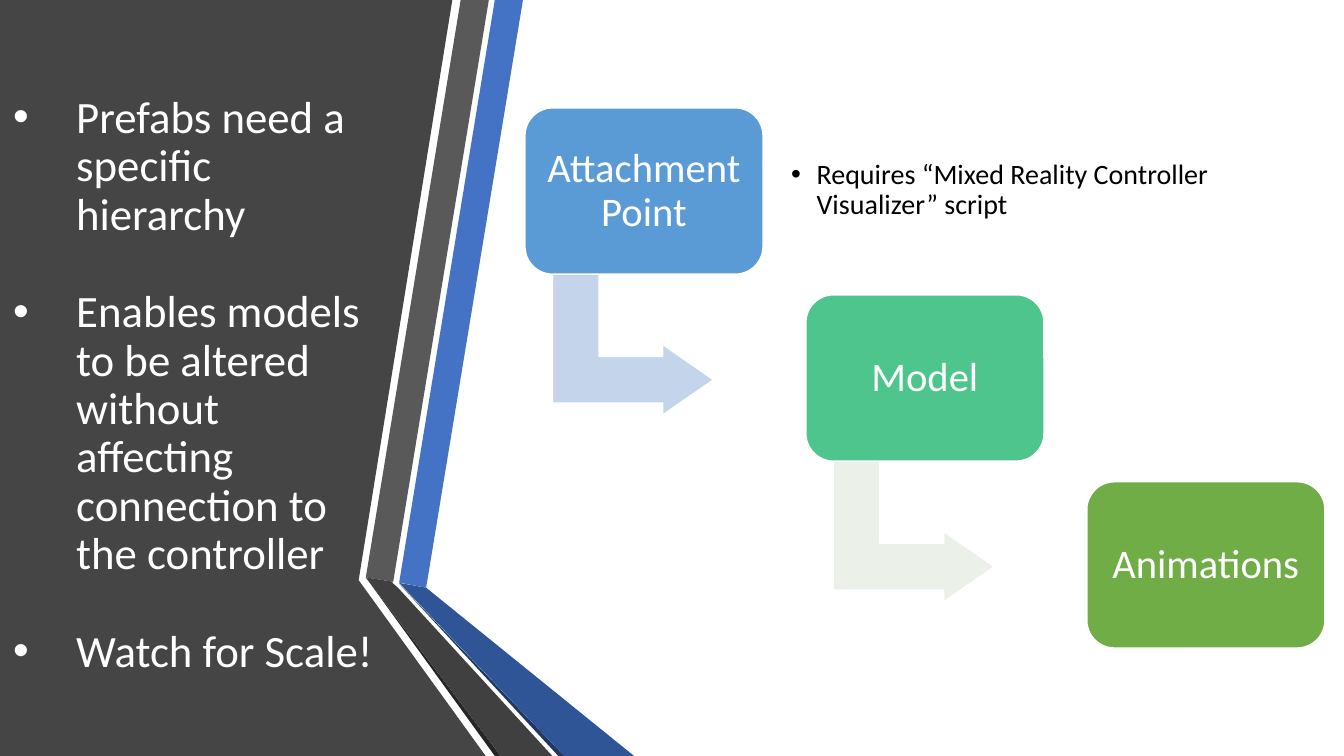
from dataclasses import dataclass

from lxml import etree
from pptx import Presentation
from pptx.dml.color import RGBColor
from pptx.enum.shapes import MSO_SHAPE
from pptx.enum.text import MSO_ANCHOR, MSO_AUTO_SIZE, PP_ALIGN
from pptx.oxml.ns import qn
from pptx.util import Cm, Pt

ROUNDED = MSO_SHAPE.ROUNDED_RECTANGLE
BENT_ARROW = MSO_SHAPE.BENT_UP_ARROW
MIDDLE = MSO_ANCHOR.MIDDLE
NO_AUTOFIT = MSO_AUTO_SIZE.NONE
LEFT, CENTER = PP_ALIGN.LEFT, PP_ALIGN.CENTER


@dataclass(frozen=True)
class Theme:
    font: str = "Calibri"
    title_size: int = 32
    step_size: int = 29
    detail_size: int = 20
    white: str = "FFFFFF"
    black: str = "000000"
    panel: str = "454545"
    ribbon_blue: str = "4472C4"
    ribbon_gray: str = "595959"
    fold_black: str = "262626"
    fold_navy: str = "203864"
    tail_blue: str = "2F5597"
    tail_gray: str = "404040"
    steps: tuple = ("5B9BD5", "4DC58D", "70AD47")
    arrows: tuple = ("C4D5EB", "EBF1E9")


theme = Theme()


def paint(shape, fill, outlined=False):
    shape.shadow.inherit = False
    shape.fill.solid()
    shape.fill.fore_color.rgb = RGBColor.from_string(fill)
    if outlined:
        shape.line.color.rgb = RGBColor.from_string(theme.white)
        shape.line.width = Pt(1)
    else:
        shape.line.fill.background()


def write(shape, lines, size, color, align, margins, hanging=None, gap=0):
    frame = shape.text_frame
    frame.text = "\n".join(lines)
    frame.word_wrap = True
    frame.auto_size = NO_AUTOFIT
    frame.vertical_anchor = MIDDLE
    frame.margin_left = frame.margin_right = Cm(margins[0])
    frame.margin_top = frame.margin_bottom = Cm(margins[1])
    for index, paragraph in enumerate(frame.paragraphs):
        paragraph.alignment = align
        paragraph.line_spacing = 0.9
        paragraph.space_before = Pt(gap if index else 0)
        if hanging:
            properties = paragraph._p.get_or_add_pPr()
            properties.set("marL", str(Cm(hanging)))
            properties.set("indent", str(-Cm(hanging)))
            etree.SubElement(properties, qn("a:buFont")).set("typeface", "Arial")
            etree.SubElement(properties, qn("a:buChar")).set("char", "•")
        for run in paragraph.runs:
            run.font.name = theme.font
            run.font.size = Pt(size)
            run.font.color.rgb = RGBColor.from_string(color)


deck = Presentation()
deck.slide_width, deck.slide_height = Cm(33.87), Cm(19.05)
slide = deck.slides.add_slide(deck.slide_layouts[5])
shapes = slide.shapes

bottom = 19.05
backdrop = [
    (theme.panel, [(0, 0), (11.4, 0), (9.04, 14.62), (12.24, bottom), (0, bottom)]),
    (theme.ribbon_blue, [(10.06, 14.68), (10.74, 14.81), (13.18, 0), (12.47, 0)]),
    (theme.ribbon_gray, [(12.32, 0), (11.61, 0), (9.22, 14.55), (9.91, 14.66)]),
    (theme.fold_black, [(9.22, 14.55), (12.47, bottom), (12.62, bottom)]),
    (theme.fold_navy, [(10.06, 14.71), (14.07, bottom), (14.22, bottom)]),
    (theme.tail_blue, [(10.06, 14.69), (14.22, bottom), (15.98, bottom), (10.74, 14.81)]),
    (theme.tail_gray, [(13.92, bottom), (10.03, 14.81), (9.88, 14.68), (9.91, 14.66),
                       (9.22, 14.55), (12.62, bottom)]),
]
for color, corners in backdrop:
    start, *rest = [(Cm(x), Cm(y)) for x, y in corners]
    outline = shapes.build_freeform(*start)
    outline.add_line_segments(rest, close=True)
    paint(outline.convert_to_shape(), color)

title = shapes.title
title.left, title.top, title.width, title.height = Cm(0.08), Cm(1.22), Cm(9.78), Cm(17)
title.element.getparent().append(title.element)
advice = [
    "Prefabs need a specific hierarchy",
    "Enables models to be altered without affecting connection to the controller",
    "Watch for Scale!",
]
write(title, advice, theme.title_size, theme.white, LEFT, (0.25, 0), hanging=1.59, gap=35)

first_left, first_top = 13.23, 2.72
step_right, step_down = 7.08, 4.71
for index, name in enumerate(["Attachment Point", "Model", "Animations"]):
    left = first_left + index * step_right
    top = first_top + index * step_down
    if index < len(theme.arrows):
        arrow = shapes.add_shape(BENT_ARROW, Cm(left + 0.94), Cm(top + 3.93), Cm(3.56), Cm(4.06))
        arrow.rotation = 90
        for position, value in enumerate((0.33, 0.25, 0.36)):
            arrow.adjustments[position] = value
        paint(arrow, theme.arrows[index], outlined=True)
    step = shapes.add_shape(ROUNDED, Cm(left), Cm(top), Cm(6), Cm(4.19))
    paint(step, theme.steps[index], outlined=True)
    write(step, [name], theme.step_size, theme.white, CENTER, (0.3, 0.3))

detail = shapes.add_textbox(Cm(19.74), Cm(3.1), Cm(13.13), Cm(3.4))
write(detail, ["Requires “Mixed Reality Controller Visualizer” script"],
      theme.detail_size, theme.black, LEFT, (0.2, 0.2), hanging=0.64)

deck.save("out.pptx")
